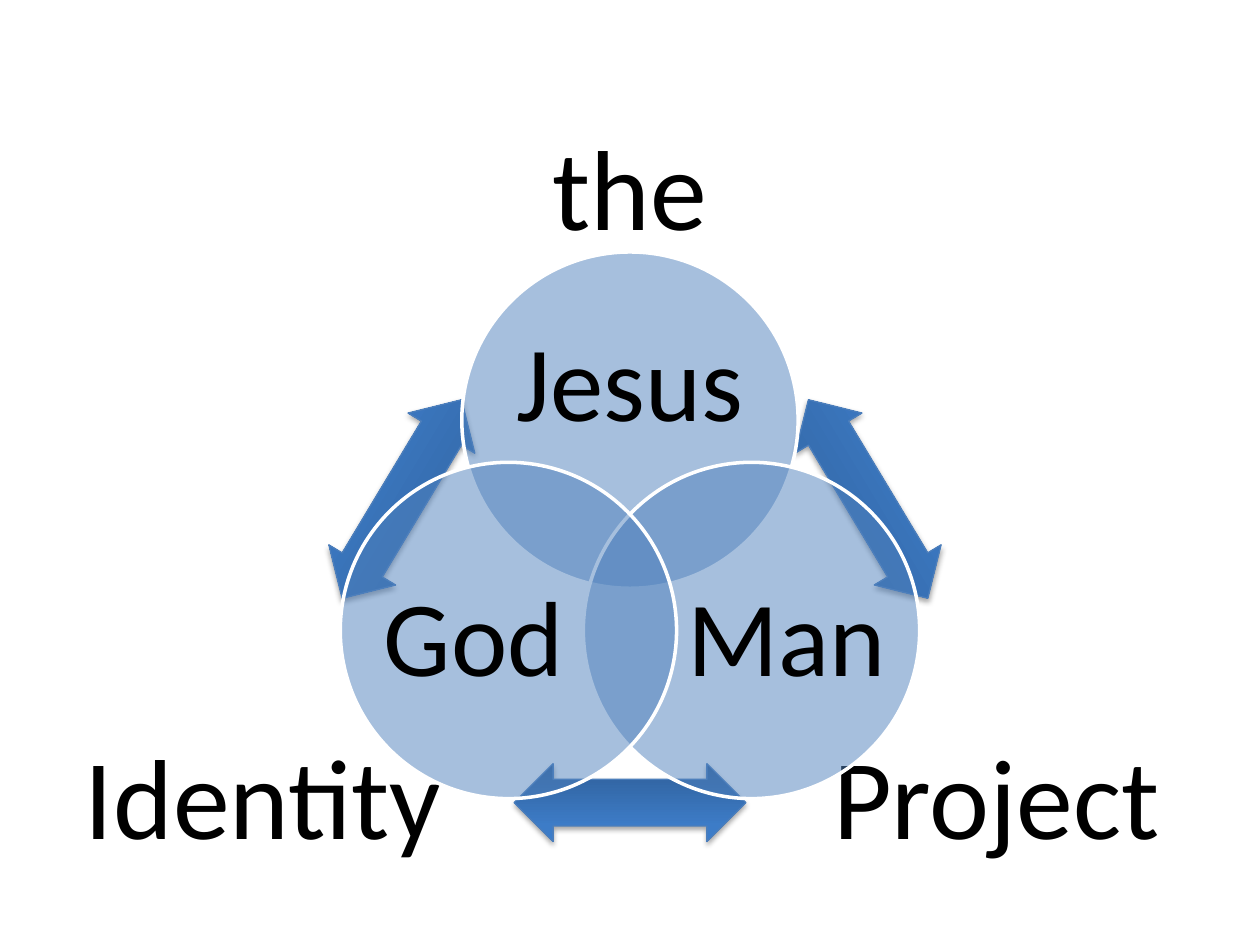
import lxml.etree
import pptx
import pptx.dml.color
import pptx.enum.shapes
import pptx.enum.text
import pptx.oxml
import pptx.oxml.ns
import pptx.util

Cm = pptx.util.Cm
Kind = pptx.enum.shapes.MSO_SHAPE
DRAWING = 'xmlns:a="http://schemas.openxmlformats.org/drawingml/2006/main"'


def color(value):
    return pptx.dml.color.RGBColor.from_string(value)


class Diagram:
    """Draws the parts of a circular diagram, each placed by its centre in centimetres."""

    font = "Calibri"
    ink = "000000"
    circle_fill = "4F81BD"
    circle_line = "FFFFFF"
    arrow_line = "4B7EBC"
    arrow_stops = ((0, "2F5F99"), (80, "3D7CC7"), (100, "3A7CCB"))

    def __init__(self, slide):
        self.slide = slide

    def frame(self, x, y, width, height):
        return Cm(x - width / 2), Cm(y - height / 2), Cm(width), Cm(height)

    def shape(self, kind, x, y, width, height, line, line_width):
        shape = self.slide.shapes.add_shape(kind, *self.frame(x, y, width, height))
        shape.shadow.inherit = False
        shape.line.color.rgb = color(line)
        shape.line.width = pptx.util.Pt(line_width)
        return shape

    def label(self, text, x, y, width, height, size, inset=0):
        box = self.slide.shapes.add_textbox(*self.frame(x, y, width, height))
        frame = box.text_frame
        frame.word_wrap = True
        frame.vertical_anchor = pptx.enum.text.MSO_ANCHOR.MIDDLE
        frame.margin_left = frame.margin_right = Cm(inset)
        frame.margin_top = frame.margin_bottom = Cm(inset)
        para = frame.paragraphs[0]
        para.text = text
        para.alignment = pptx.enum.text.PP_ALIGN.CENTER
        para.line_spacing = 0.9
        para.font.name = self.font
        para.font.size = pptx.util.Pt(size)
        para.font.color.rgb = color(self.ink)

    def circle(self, x, y):
        circle = self.shape(Kind.OVAL, x, y, 6.78, 6.78, self.circle_line, 2)
        circle.fill.solid()
        circle.fill.fore_color.rgb = color(self.circle_fill)
        fill = circle.fill._xPr.find(".//" + pptx.oxml.ns.qn("a:srgbClr"))
        lxml.etree.SubElement(fill, pptx.oxml.ns.qn("a:alpha"), val="50000")

    def arrow(self, x, y, rotation):
        arrow = self.shape(Kind.LEFT_RIGHT_ARROW, x, y, 4.67, 1.57, self.arrow_line, 0.75)
        arrow.rotation = rotation
        arrow.adjustments[0] = 0.6
        arrow.adjustments[1] = 0.5
        stops = "".join(
            f'<a:gs pos="{position * 1000}"><a:srgbClr val="{value}"/></a:gs>'
            for position, value in self.arrow_stops
        )
        properties = arrow._element.spPr
        gradient = pptx.oxml.parse_xml(
            f'<a:gradFill {DRAWING} rotWithShape="1"><a:gsLst>{stops}</a:gsLst>'
            '<a:lin ang="16200000" scaled="0"/></a:gradFill>'
        )
        properties.find(pptx.oxml.ns.qn("a:prstGeom")).addnext(gradient)
        shadow = pptx.oxml.parse_xml(
            f'<a:outerShdw {DRAWING} blurRad="40000" dist="23000" dir="5400000" '
            'rotWithShape="0"><a:srgbClr val="000000"><a:alpha val="35000"/>'
            '</a:srgbClr></a:outerShdw>'
        )
        properties.find(pptx.oxml.ns.qn("a:effectLst")).append(shadow)


deck = pptx.Presentation()
deck.slide_width = Cm(25.4)
deck.slide_height = Cm(19.05)
diagram = Diagram(deck.slides.add_slide(deck.slide_layouts[6]))

middle = 12.7
for text, offset, y in (("the", 0, 3.91), ("Project", 7.39, 16.18), ("Identity", -7.39, 16.18)):
    diagram.label(text, middle + offset, y, 8.94, 4.47, 65, 0.69)

for x, y, rotation in ((17.5, 10.06, 59), (middle, 16.18, 180), (8.1, 10.06, 301)):
    diagram.arrow(x, y, rotation)

circles = (
    ("Jesus", 0, 8.47, 0, 7.8, 4.98, 3.05),
    ("Man", 2.45, 12.71, 3.15, 12.94, 4.06, 3.73),
    ("God", -2.45, 12.71, -3.15, 12.94, 4.06, 3.73),
)
for text, offset, y, text_offset, text_y, width, height in circles:
    diagram.circle(middle + offset, y)
    diagram.label(text, middle + text_offset, text_y, width, height, 61)

deck.save("out.pptx")
